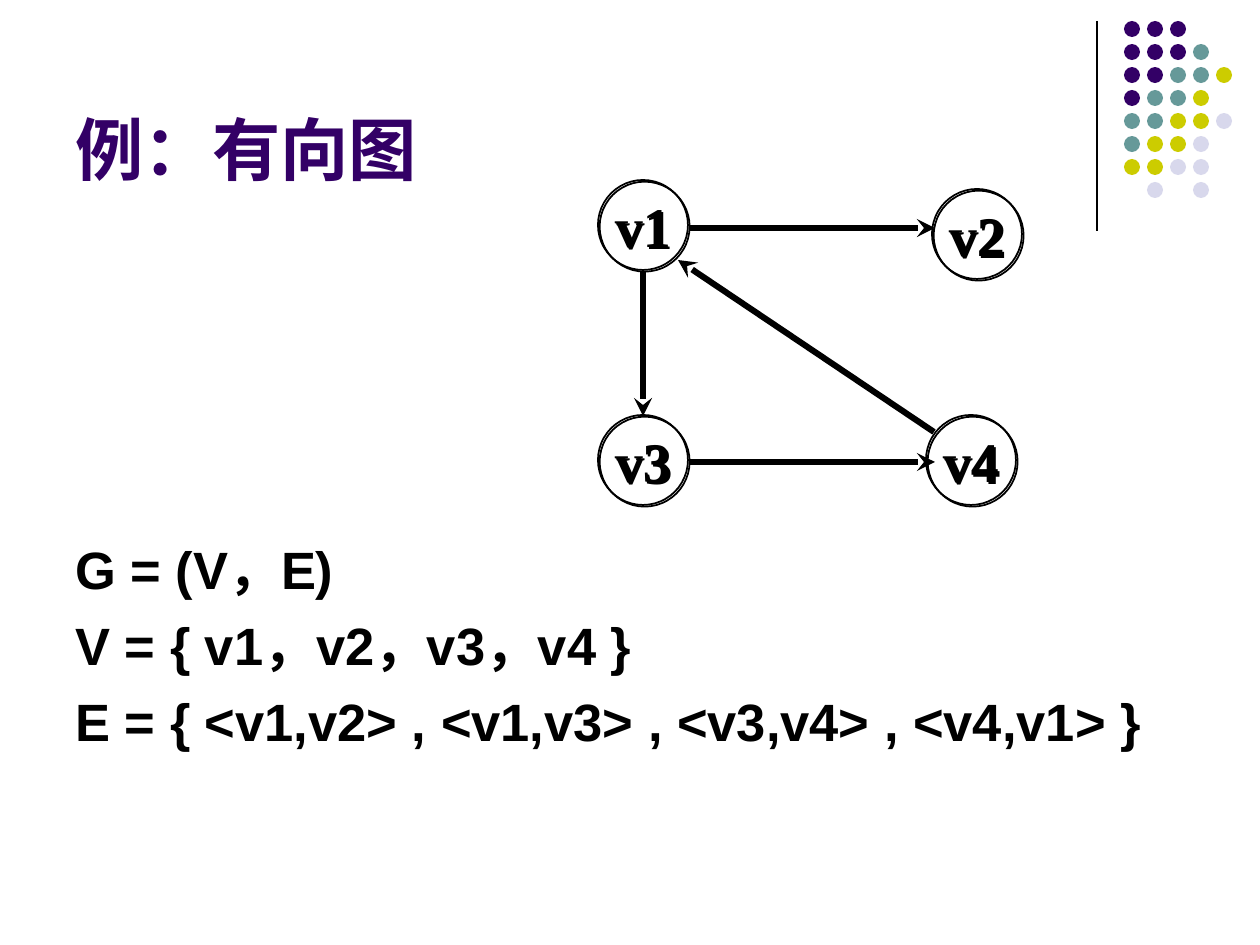
from lxml import etree
from pptx import Presentation
from pptx.dml.color import RGBColor
from pptx.enum.shapes import MSO_CONNECTOR, MSO_SHAPE
from pptx.enum.text import MSO_ANCHOR, MSO_AUTO_SIZE, PP_ALIGN
from pptx.oxml.ns import qn
from pptx.util import Emu, Pt

OVAL = MSO_SHAPE.OVAL
STRAIGHT = MSO_CONNECTOR.STRAIGHT
LEFT, CENTER = PP_ALIGN.LEFT, PP_ALIGN.CENTER
MIDDLE, BOTTOM = MSO_ANCHOR.MIDDLE, MSO_ANCHOR.BOTTOM
NO_FIT = MSO_AUTO_SIZE.NONE

EMU_PER_PX = 914400 / 126
BLACK, PURPLE = "000000", "330066"
SANS, SERIF = "Arial", "Times New Roman"

# Dot pattern: one letter a dot, a space for a gap
DOT_COLORS = {"P": PURPLE, "T": "669999", "Y": "CCCC00", "L": "D8D8EC"}
DOT_ROWS = ["PPP", "PPPT", "PPTTY", "PTTY", "TTYYL", "TYYL", "YYLL", " L L"]
DOT_LEFT, DOT_TOP, DOT_SIZE, DOT_PITCH = 1124, 21, 16, 23

NODE_SIZE = 90
NODES = {"v1": (598, 180), "v2": (932, 189), "v3": (598, 415), "v4": (926, 415)}
EDGES = [
    (689, 228, 935, 228),  # v1 to v2
    (643, 272, 643, 416),  # v1 to v3
    (689, 462, 935, 462),  # v3 to v4
    (934, 432, 678, 260),  # v4 to v1
]
DEFINITIONS = [
    "G = (V，E)",
    "V = { v1，v2，v3，v4 }",
    "E = { <v1,v2> , <v1,v3> , <v3,v4> , <v4,v1> }",
]


def px(n):
    return Emu(round(n * EMU_PER_PX))


def rgb(color):
    return RGBColor.from_string(color)


def add_run(p, text, size, font, color=BLACK):
    r = p.add_run()
    r.text = text
    r.font.size = Pt(size)
    r.font.name = font
    r.font.bold = True
    r.font.color.rgb = rgb(color)


def add_line(slide, x1, y1, x2, y2, width, arrow=False):
    line = slide.shapes.add_connector(STRAIGHT, px(x1), px(y1), px(x2), px(y2))
    line.line.color.rgb = rgb(BLACK)
    line.line.width = Pt(width)
    if arrow:
        etree.SubElement(line.line._get_or_add_ln(), qn("a:tailEnd"), type="stealth")
    etree.SubElement(line._element.spPr, qn("a:effectLst"))


def add_circle(slide, left, top, size):
    sp = slide.shapes.add_shape(OVAL, px(left), px(top), px(size), px(size))
    sp.shadow.inherit = False
    return sp


def add_dots(slide):
    for row, codes in enumerate(DOT_ROWS):
        for col, code in enumerate(codes):
            if code == " ":
                continue
            dot = add_circle(slide, DOT_LEFT + col * DOT_PITCH,
                             DOT_TOP + row * DOT_PITCH, DOT_SIZE)
            dot.fill.solid()
            dot.fill.fore_color.rgb = rgb(DOT_COLORS[code])
            dot.line.fill.background()


def add_node(slide, name, left, top):
    sp = add_circle(slide, left, top, NODE_SIZE)
    sp.fill.background()
    sp.line.color.rgb = rgb(BLACK)
    sp.line.width = Pt(1)
    # Hard shadow, down and to the right
    effects = sp._element.spPr.find(qn("a:effectLst"))
    shadow = etree.SubElement(effects, qn("a:outerShdw"), dist=str(Pt(1.4)),
                              dir="2700000", algn="ctr", rotWithShape="0")
    etree.SubElement(shadow, qn("a:srgbClr"), val=BLACK)
    tf = sp.text_frame
    tf.word_wrap = False
    tf.vertical_anchor = MIDDLE
    tf.margin_left = tf.margin_right = tf.margin_top = tf.margin_bottom = 0
    p = tf.paragraphs[0]
    p.alignment = CENTER
    add_run(p, name, 32, SERIF)


def set_title(slide, text):
    title = slide.shapes.title
    title.left, title.top, title.width, title.height = px(63), px(16), px(1040), px(179)
    tf = title.text_frame
    tf.auto_size = NO_FIT
    tf.vertical_anchor = BOTTOM
    p = tf.paragraphs[0]
    p.alignment = LEFT
    add_run(p, text, 39, SANS, PURPLE)


def add_definitions(slide, lines):
    box = slide.shapes.add_textbox(px(63), px(531), px(1134), px(313))
    tf = box.text_frame
    tf.word_wrap = True
    for i, text in enumerate(lines):
        p = tf.add_paragraph() if i else tf.paragraphs[0]
        p.space_before = Pt(7.5)
        add_run(p, text, 30, SANS)


def main():
    prs = Presentation()
    prs.slide_width, prs.slide_height = px(1260), px(945)
    slide = prs.slides.add_slide(prs.slide_layouts[5])

    # Corner decoration
    add_line(slide, 1097, 21, 1097, 231, 0.75)
    add_dots(slide)

    # Text
    set_title(slide, "例：有向图")
    add_definitions(slide, DEFINITIONS)

    # Directed graph
    for name, (left, top) in NODES.items():
        add_node(slide, name, left, top)
    for edge in EDGES:
        add_line(slide, *edge, 3.5, arrow=True)

    prs.save("out.pptx")


if __name__ == "__main__":
    main()
